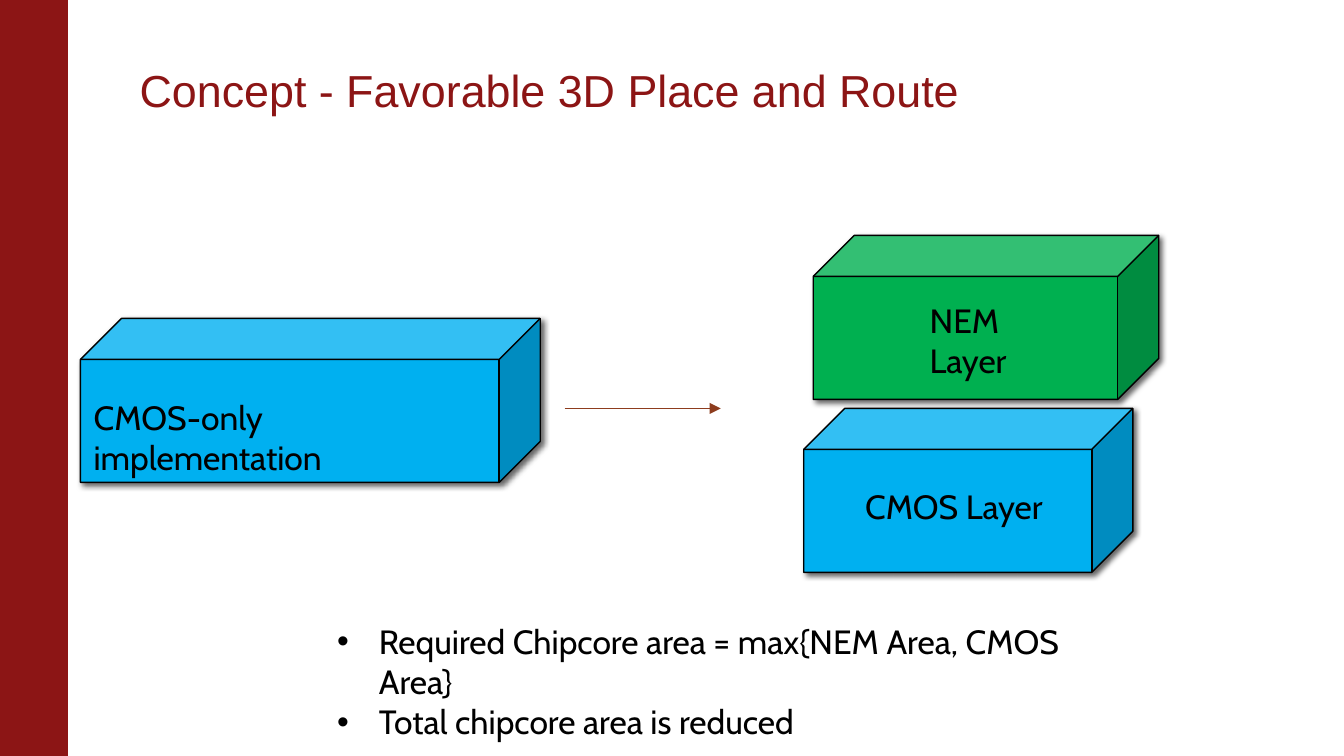
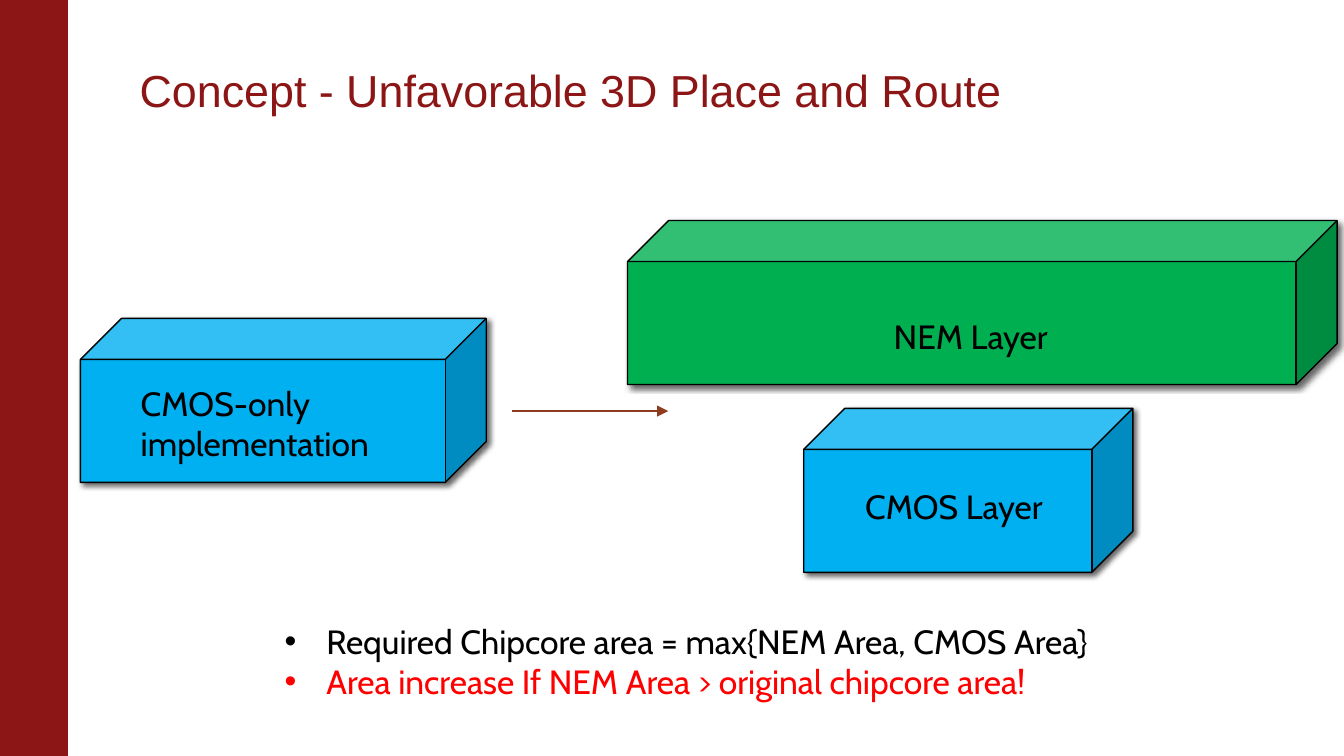
import pptx
import pptx.util
import pptx.dml.color
import pptx.enum.shapes
import pptx.enum.text
import pptx.oxml
import pptx.oxml.ns

Cm, Pt = pptx.util.Cm, pptx.util.Pt
Kind = pptx.enum.shapes.MSO_SHAPE
Anchor = pptx.enum.text.MSO_ANCHOR
NS = pptx.oxml.ns.nsdecls("a")

RED, BLUE, GREEN = "8C1515", "00B0F0", "00B050"
BLACK, ALERT, BROWN = "000000", "FF0000", "8D3C1E"
DEPTH = 3.1    # height of every block
REACH = 2.95   # length of the arrow
SHADE = (f'<a:outerShdw {NS} blurRad="38100" dist="25400" dir="2700000" rotWithShape="0">'
         '<a:srgbClr val="000000"><a:alpha val="60000"/></a:srgbClr></a:outerShdw>')


def paint(form, color):
    form.rgb = pptx.dml.color.RGBColor.from_string(color)


def write(slide, text, box, font="Cabin", size=18, color=BLACK, last=None,
          bullet=False, title=False):
    """Add a text box, one paragraph a line; last colours the final one."""
    frame = slide.shapes.add_textbox(*map(Cm, box)).text_frame
    frame.word_wrap = True
    if title:
        frame.margin_left = 0
        frame.vertical_anchor = Anchor.BOTTOM
    frame.text = text
    for para in frame.paragraphs:
        if bullet:
            props = para._p.get_or_add_pPr()
            props.set("marL", str(Cm(0.79)))
            props.set("indent", str(-Cm(0.79)))
            props.append(pptx.oxml.parse_xml(f'<a:buFont {NS} typeface="Arial"/>'))
            props.append(pptx.oxml.parse_xml(f'<a:buChar {NS} char="•"/>'))
        if title:
            para.line_spacing = 0.85
        for run in para.runs:
            run.font.name = font
            run.font.size = Pt(size)
            paint(run.font.color, color)
    if last:
        paint(frame.paragraphs[-1].runs[0].font.color, last)


# Each block: left, top, width, fill, label, label box
base = (15.19, 7.72, 6.22, BLUE, "CMOS Layer", (16.1, 9.07, 4.17, 1.02))
pages = [
    dict(title="Concept - Favorable 3D Place and Route",
         blocks=[base,
                 (15.37, 4.45, 6.53, GREEN, "NEM Layer", (17.32, 5.54, 2.97, 1.8)),
                 (1.52, 6.02, 8.69, BLUE, "CMOS-only implementation",
                  (1.52, 7.37, 8.15, 1.8))],
         arrow=(10.67, 7.72), notes=(6.12, 11.61, 15.52, 1.8),
         point="Total chipcore area is reduced", color=BLACK),
    dict(title="Concept - Unfavorable 3D Place and Route",
         blocks=[base,
                 (11.86, 4.17, 13.41, GREEN, "NEM Layer", (16.64, 5.84, 5.44, 1.02)),
                 (1.52, 6.02, 7.67, BLUE, "CMOS-only implementation",
                  (2.41, 7.11, 7.19, 1.8))],
         arrow=(9.68, 7.77), notes=(5.13, 11.61, 16.03, 2.57),
         point="Area increase If NEM Area > original chipcore area!", color=ALERT),
]

deck = pptx.Presentation()
deck.slide_width, deck.slide_height = Cm(25.4), Cm(14.29)

for page in pages:
    slide = deck.slides.add_slide(deck.slide_layouts[6])

    band = slide.shapes.add_shape(Kind.RECTANGLE, 0, 0, Cm(1.27), deck.slide_height)
    band.shadow.inherit = False
    band.fill.solid()
    paint(band.fill.fore_color, RED)
    paint(band.line.color, RED)
    band.line.width = Pt(0.75)

    write(slide, page["title"], (2.64, 0.99, 21.41, 1.35),
          font="Arial", size=24, color=RED, title=True)

    for left, top, width, fill, label, box in page["blocks"]:
        cube = slide.shapes.add_shape(Kind.CUBE, Cm(left), Cm(top), Cm(width), Cm(DEPTH))
        cube.fill.solid()
        paint(cube.fill.fore_color, fill)
        paint(cube.line.color, BLACK)
        cube.line.width = Pt(0.75)
        cube.shadow.inherit = False
        effects = cube._element.spPr.find(pptx.oxml.ns.qn("a:effectLst"))
        effects.append(pptx.oxml.parse_xml(SHADE))
        write(slide, label, box)

    write(slide, "Required Chipcore area = max{NEM Area, CMOS Area}\n" + page["point"],
          page["notes"], last=page["color"], bullet=True)

    x, y = page["arrow"]
    arrow = slide.shapes.add_connector(pptx.enum.shapes.MSO_CONNECTOR.STRAIGHT,
                                       Cm(x), Cm(y), Cm(x + REACH), Cm(y))
    paint(arrow.line.color, BROWN)
    arrow.line.width = Pt(0.75)
    arrow.line._get_or_add_ln().append(
        pptx.oxml.parse_xml(f'<a:tailEnd {NS} type="triangle"/>'))
    arrow._element.spPr.append(pptx.oxml.parse_xml(f'<a:effectLst {NS}/>'))

deck.save("out.pptx")
